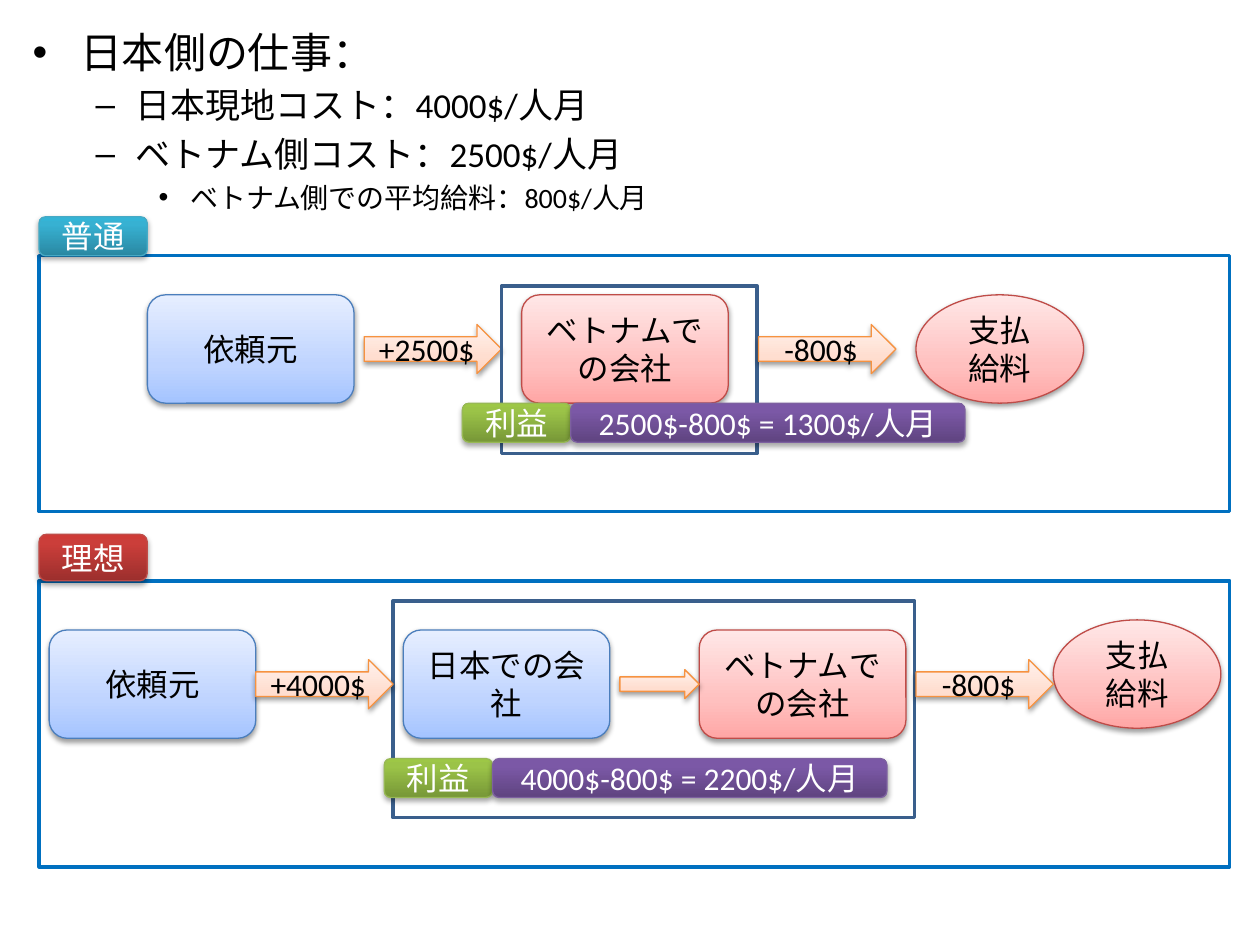
"""Build a slide comparing profit in the usual and the ideal work flow."""
import copy
import dataclasses

import pptx
import pptx.dml.color
import pptx.enum.shapes
import pptx.enum.text
import pptx.oxml
import pptx.oxml.ns
import pptx.util

Inches = pptx.util.Inches
Pt = pptx.util.Pt
RGB = pptx.dml.color.RGBColor.from_string
Form = pptx.enum.shapes.MSO_SHAPE


@dataclasses.dataclass(frozen=True)
class Paint:
    stops: tuple
    line: str
    bold: bool = False


@dataclasses.dataclass(frozen=True)
class Theme:
    font: str = "Calibri"
    ink: str = "000000"
    white: str = "FFFFFF"
    frame: str = "0070C0"
    group: str = "3A5F8C"
    size: int = 18
    levels: tuple = (24, 20, 16)
    blue: Paint = Paint(("A4C4FF", "BFD4FF", "E6EEFF"), "4B7EBC")
    pink: Paint = Paint(("FFA6A5", "FFC0BF", "FFE7E7"), "BF4C48")
    peach: Paint = Paint(("FFD2BD", "FFDED0", "FFF2ED"), "F69240")
    green: Paint = Paint(("779737", "9BC348", "9DC746"), "98B955", True)
    violet: Paint = Paint(("5F4480", "7B58A6", "7C57A8"), "7D60A0", True)
    teal: Paint = Paint(("2A88A2", "37B1D2", "34B4D6"), "46AAC5", True)
    red: Paint = Paint(("9C2F2D", "CB3E3A", "CE3B37"), "BF4C48", True)


THEME = Theme()
BOX = (1.64, 0.86)
OVAL = (1.33, 0.86)
ARROW = (1.09, 0.39)
CHIP = (0.86, 0.31)
SUM = (3.13, 0.31)


def write(para, text, size, color):
    run = para.add_run()
    run.text = text
    run.font.name = THEME.font
    run.font.size = Pt(size)
    run.font.color.rgb = RGB(color)


def blend(shape, paint):
    shape.fill.gradient()
    shape.fill.gradient_angle = 90
    first = shape.fill.gradient_stops[0]._gs
    first.addnext(copy.deepcopy(first))
    spots = (0, 0.8 if paint.bold else 0.35, 1)
    for stop, spot, color in zip(shape.fill.gradient_stops, spots, paint.stops):
        stop.position = spot
        stop.color.rgb = RGB(color)


def shade(shape, bold):
    alpha, dist = (35000, 1.8) if bold else (38000, 1.6)
    shape.shadow.inherit = False
    root = shape._element.spPr.find(pptx.oxml.ns.qn("a:effectLst"))
    root.append(pptx.oxml.parse_xml(
        f'<a:outerShdw {pptx.oxml.ns.nsdecls("a")} blurRad="{Pt(3.1)}" '
        f'dist="{Pt(dist)}" dir="5400000" rotWithShape="0">'
        f'<a:srgbClr val="{THEME.ink}"><a:alpha val="{alpha}"/></a:srgbClr>'
        '</a:outerShdw>'))


def block(slide, form, x, y, size, paint, text=""):
    shape = slide.shapes.add_shape(form, *map(Inches, (x, y, *size)))
    blend(shape, paint)
    shape.line.color.rgb = RGB(paint.line)
    shape.line.width = Pt(0.75)
    shade(shape, paint.bold)
    if text:
        frame = shape.text_frame
        frame.word_wrap = True
        frame.vertical_anchor = pptx.enum.text.MSO_ANCHOR.MIDDLE
        para = frame.paragraphs[0]
        para.alignment = pptx.enum.text.PP_ALIGN.CENTER
        write(para, text, THEME.size, THEME.white if paint.bold else THEME.ink)


def box(slide, x, mid, paint, text):
    block(slide, Form.ROUNDED_RECTANGLE, x, mid - BOX[1] / 2, BOX, paint, text)


def oval(slide, x, mid, text):
    block(slide, Form.OVAL, x, mid - OVAL[1] / 2, OVAL, THEME.pink, text)


def arrow(slide, x, mid, text="", size=ARROW):
    block(slide, Form.RIGHT_ARROW, x, mid - size[1] / 2, size, THEME.peach, text)


def border(slide, x, y, wide, high, color):
    shape = slide.shapes.add_shape(Form.RECTANGLE, *map(Inches, (x, y, wide, high)))
    shape.fill.background()
    shape.line.color.rgb = RGB(color)
    shape.line.width = Pt(2)
    shape.shadow.inherit = False


def profit(slide, x, y, text):
    block(slide, Form.ROUNDED_RECTANGLE, x, y, CHIP, THEME.green, "利益")
    block(slide, Form.ROUNDED_RECTANGLE, x + CHIP[0], y, SUM, THEME.violet, text)


def panel(slide, top, high, tab, paint, text):
    border(slide, 0.31, top, 9.45, high, THEME.frame)
    block(slide, Form.ROUNDED_RECTANGLE, 0.31, top - tab, (CHIP[0], tab), paint, text)


def costs(slide, items):
    body = slide.placeholders[1]
    body.left, body.top, body.width, body.height = map(Inches, (0.16, 0.16, 9.69, 7.19))
    frame = body.text_frame
    for i, (level, text) in enumerate(items):
        para = frame.add_paragraph() if i else frame.paragraphs[0]
        para.level = level
        write(para, text, THEME.levels[level], THEME.ink)


def usual(slide):
    mid = 2.77
    box(slide, 1.17, mid, THEME.blue, "依頼元")
    box(slide, 4.14, mid, THEME.pink, "ベトナムでの会社")
    oval(slide, 7.27, mid, "支払給料")
    arrow(slide, 2.89, mid, "+2500$")
    border(slide, 3.98, 2.27, 2.03, 1.33, THEME.group)
    profit(slide, 3.67, 3.2, "2500$-800$ = 1300$/人月")
    panel(slide, 2.03, 2.03, 0.31, THEME.teal, "普通")
    arrow(slide, 6.02, mid, "-800$")


def ideal(slide):
    mid = 5.43
    box(slide, 0.39, mid, THEME.blue, "依頼元")
    box(slide, 5.55, mid, THEME.pink, "ベトナムでの会社")
    oval(slide, 8.36, 5.35, "支払給料")
    box(slide, 3.2, mid, THEME.blue, "日本での会社")
    arrow(slide, 4.92, mid, size=(0.63, 0.23))
    border(slide, 3.12, 4.77, 4.14, 1.72, THEME.group)
    profit(slide, 3.05, 6.02, "4000$-800$ = 2200$/人月")
    panel(slide, 4.61, 2.27, 0.37, THEME.red, "理想")
    arrow(slide, 2.03, mid, "+4000$")
    arrow(slide, 7.27, mid, "-800$")


def main():
    deck = pptx.Presentation()
    deck.slide_width, deck.slide_height = Inches(10), Inches(7.5)
    slide = deck.slides.add_slide(deck.slide_layouts[1])
    title = slide.shapes.title._element
    title.getparent().remove(title)
    costs(slide, (
        (0, "日本側の仕事："),
        (1, "日本現地コスト：4000$/人月"),
        (1, "ベトナム側コスト：2500$/人月"),
        (2, "ベトナム側での平均給料：800$/人月"),
    ))
    usual(slide)
    ideal(slide)
    deck.save("out.pptx")


if __name__ == "__main__":
    main()
